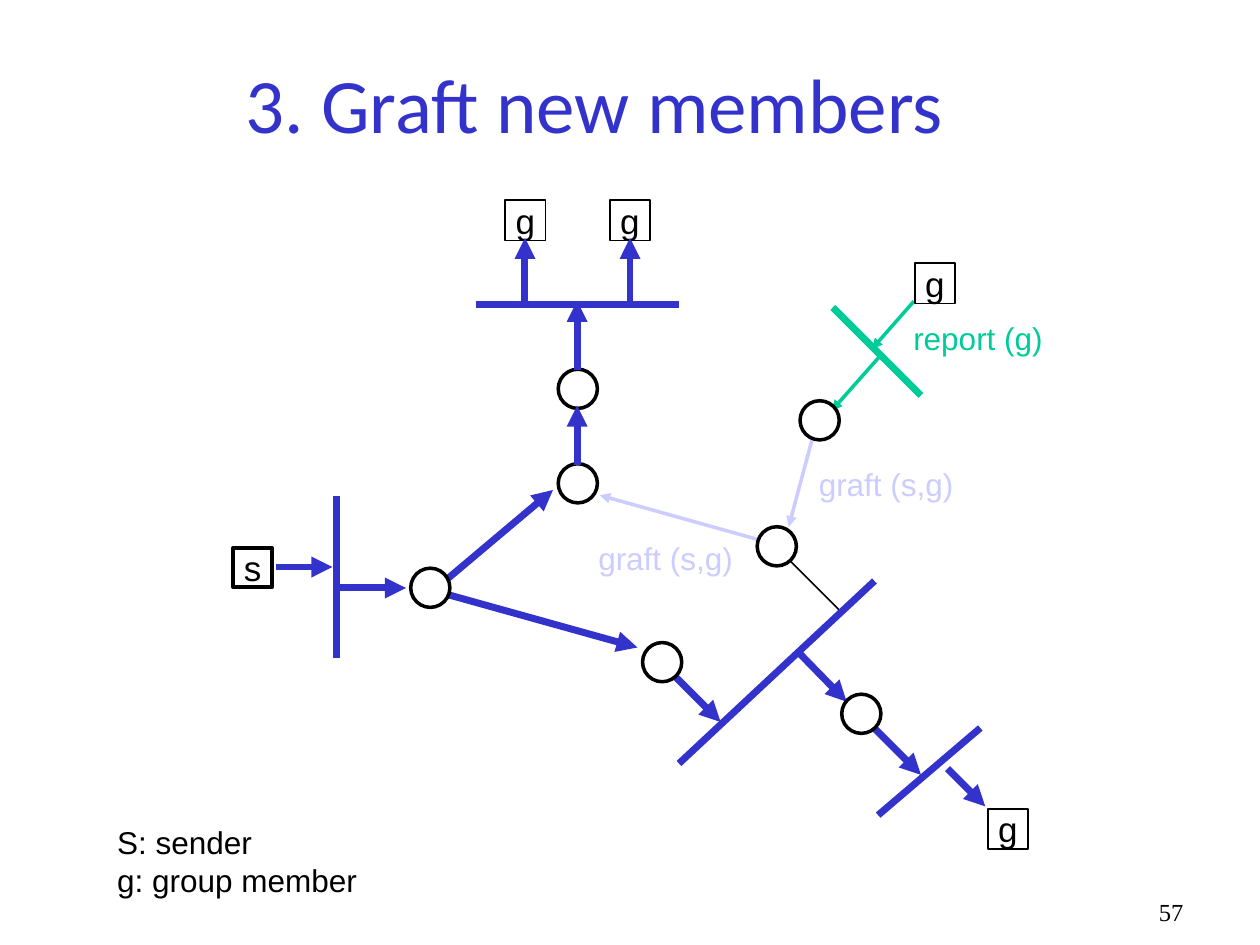
"""Build the slide that shows how new members are grafted onto a multicast tree."""
from lxml.etree import SubElement
from pptx import Presentation
from pptx.dml.color import RGBColor
from pptx.enum.shapes import MSO_CONNECTOR as Conn, MSO_SHAPE as Shape
from pptx.enum.text import MSO_ANCHOR as Anchor, MSO_AUTO_SIZE as Auto, PP_ALIGN as Align
from pptx.oxml.ns import qn
from pptx.util import Pt

BLUE, GREEN, LILAC, BLACK, WHITE = "3333CC", "00CC99", "CCCCFF", "000000", "FFFFFF"
NODE = 22.4

GRAFTS = [(442.8, 311, 342.7, 283), (467.3, 239, 450.7, 301)]
REPORTS = [(503.3, 203, 475.2, 234.7), (522.2, 172.2, 498.2, 199.5)]
IDLE_LINKS = [(443.5, 312.5, 479.5, 348.5)]
TREE_ARROWS = [
    (157.7, 324, 190, 324), (193.7, 336, 232, 336),
    (247.7, 337.5, 316, 280), (247.7, 337.5, 364.3, 370),
    (379.4, 380.2, 411.8, 412.6), (457.2, 373.7, 483.8, 401),
    (493.2, 409.7, 526.3, 442.8), (541.4, 439.2, 563, 460.8),
]
TREE_BUSES = [
    (192.2, 283.7, 192.2, 375.8), (272.2, 174, 388, 174),
    (499.7, 332, 388, 436.3), (560.2, 416, 501.8, 465.8),
]
MEMBER_BUSES = [(475.9, 175.7, 526.3, 226)]
UP_ARROWS = [
    (329.8, 211.7, 329.8, 172), (329.8, 265.7, 329.8, 231.8),
    (300, 175.7, 300, 136), (360, 175.7, 360, 136),
]
BACK_LINES = [
    (GRAFTS, LILAC, 2, True), (REPORTS, GREEN, 2, True),
    (IDLE_LINKS, BLACK, 1, False), (TREE_ARROWS, BLUE, 4, True),
    (TREE_BUSES, BLUE, 4, False), (MEMBER_BUSES, GREEN, 4, False),
]
FRONT_LINES = [(UP_ARROWS, BLUE, 4, True)]

ROUTERS = [(319, 211), (319, 265), (234.7, 324.7), (432.7, 301),
           (457.2, 229), (367.2, 367.2), (481, 396.7)]
MEMBERS = [(288.7, 114.5), (348.5, 114.5), (522.7, 150.5), (564.5, 462.2)]
SENDER = (133.2, 313.2)

LABELS = [
    (460.8, 262, 91.4, 28.8, ["graft (s,g)"], LILAC),
    (334.8, 304.6, 91.4, 28.8, ["graft (s,g)"], LILAC),
    (514.8, 178.6, 88.6, 28.8, ["report (g)"], GREEN),
    (59.8, 466.6, 152.6, 51.1, ["S: sender", "g: group member"], BLACK),
]


def rgb(color):
    return RGBColor.from_string(color)


def write(tf, lines, size, font, color, align=Align.LEFT):
    for i, text in enumerate(lines):
        p = tf.paragraphs[0] if i == 0 else tf.add_paragraph()
        p.alignment = align
        r = p.add_run()
        r.text = text
        r.font.size, r.font.name = Pt(size), font
        r.font.color.rgb = rgb(color)


def add_text(s, x, y, w, h, lines, size, font, color,
             align=Align.LEFT, anchor=Anchor.TOP, wrap=False):
    tf = s.shapes.add_textbox(Pt(x), Pt(y), Pt(w), Pt(h)).text_frame
    tf.word_wrap, tf.vertical_anchor = wrap, anchor
    tf.auto_size = Auto.NONE if wrap else Auto.SHAPE_TO_FIT_TEXT
    write(tf, lines, size, font, color, align)


def add_lines(s, groups):
    for lines, color, width, arrow in groups:
        for ends in lines:
            line = s.shapes.add_connector(Conn.STRAIGHT, *map(Pt, ends))
            line.line.color.rgb = rgb(color)
            line.line.width = Pt(width)
            if arrow:
                SubElement(line.line._get_or_add_ln(), qn("a:tailEnd"), type="triangle")
            SubElement(line._element.spPr, qn("a:effectLst"))


def add_node(s, kind, x, y, size, width, fill=None, text=None):
    sp = s.shapes.add_shape(kind, Pt(x), Pt(y), Pt(size), Pt(size))
    sp.shadow.inherit = False
    if fill:
        sp.fill.solid()
        sp.fill.fore_color.rgb = rgb(fill)
    else:
        sp.fill.background()
    sp.line.color.rgb = rgb(BLACK)
    sp.line.width = Pt(width)
    if text:
        tf = sp.text_frame
        tf.word_wrap, tf.vertical_anchor = False, Anchor.MIDDLE
        write(tf, [text], 20, "Arial", BLACK, Align.CENTER)


def main():
    prs = Presentation()
    prs.slide_width, prs.slide_height = Pt(720), Pt(540)
    s = prs.slides.add_slide(prs.slide_layouts[6])

    add_lines(s, BACK_LINES)
    for x, y in ROUTERS:
        add_node(s, Shape.OVAL, x, y, NODE, 2, WHITE)
    add_node(s, Shape.RECTANGLE, *SENDER, NODE, 2, WHITE, "s")
    for x, y in MEMBERS:
        add_node(s, Shape.RECTANGLE, x, y, 23, 1, text="g")
    add_lines(s, FRONT_LINES)

    for x, y, w, h, lines, color in LABELS:
        add_text(s, x, y, w, h, lines, 18, "Arial", color)
    add_text(s, -20.2, -2.2, 720, 90.7, ["3. Graft new members"], 44, "Calibri", BLUE,
             Align.CENTER, Anchor.BOTTOM, True)
    add_text(s, 655.2, 509, 53.3, 21.6, ["57"], 14, "Times New Roman", BLACK, wrap=True)
    prs.save("out.pptx")


if __name__ == "__main__":
    main()
